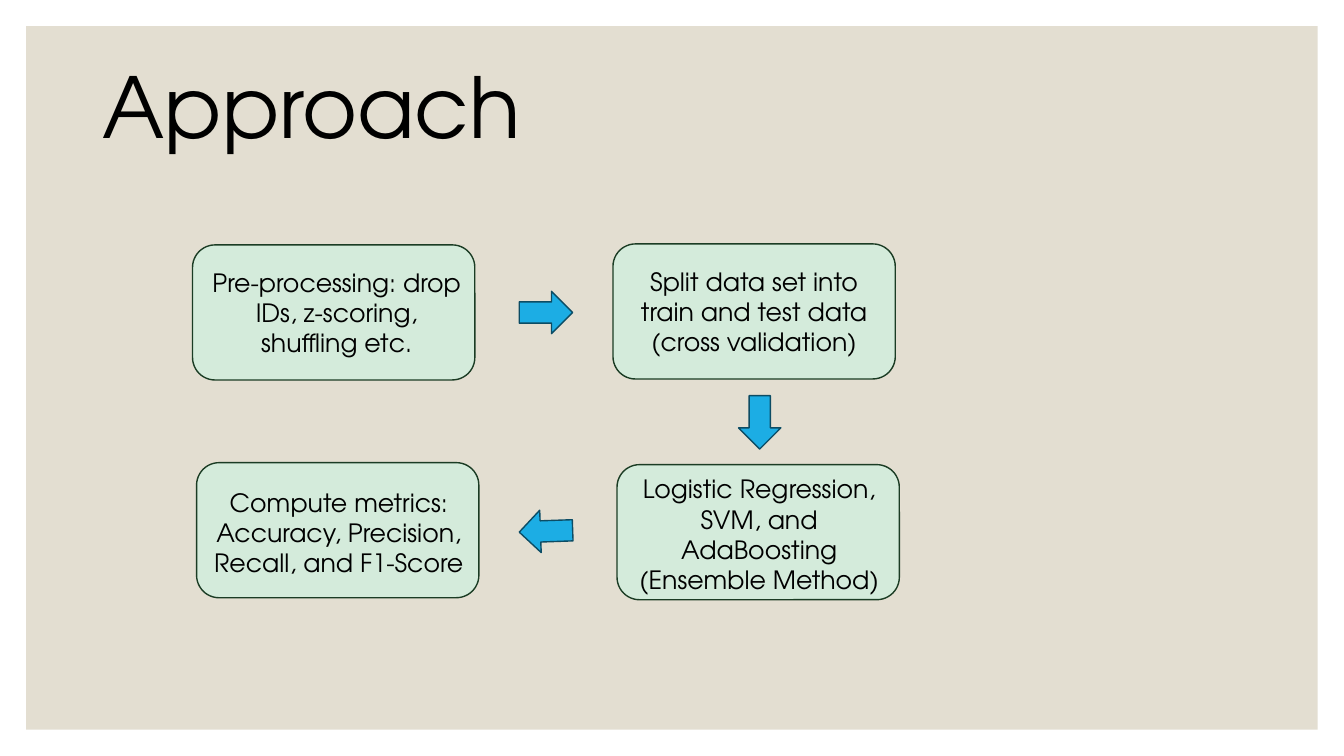
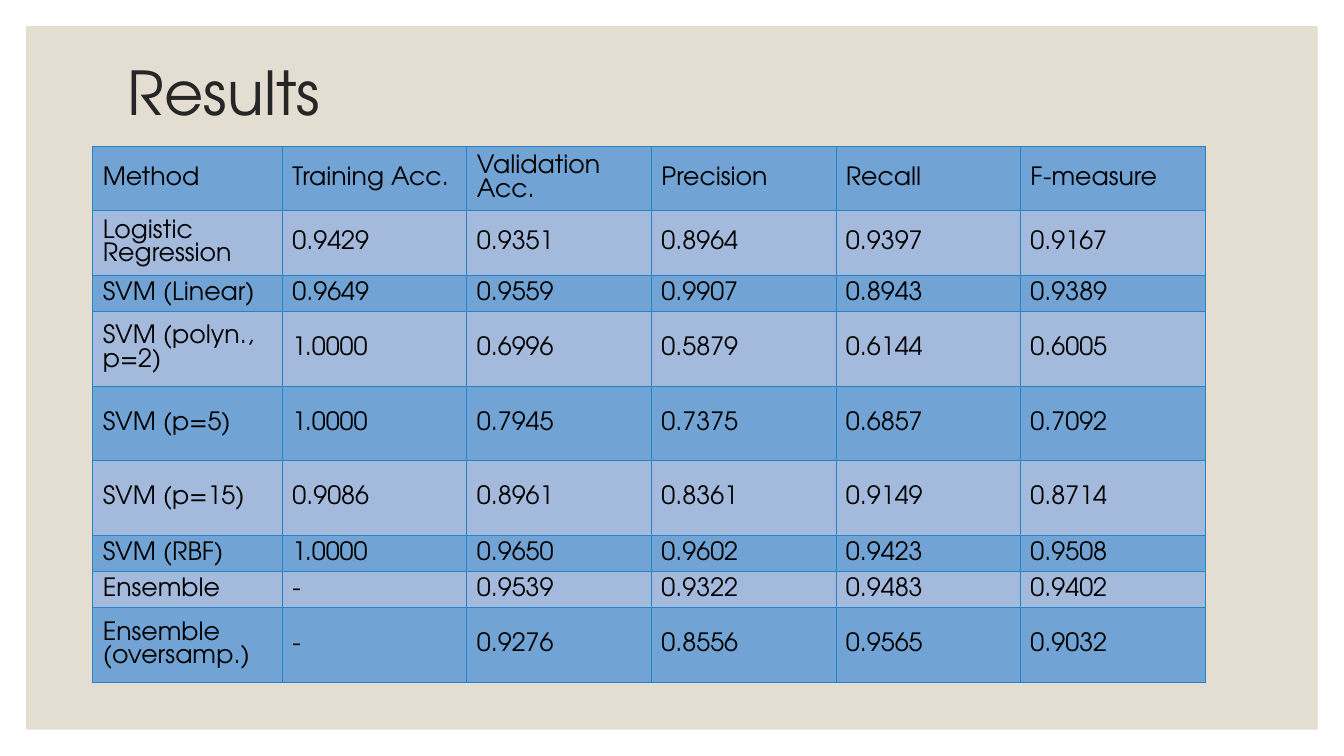
from dataclasses import dataclass

from lxml.etree import SubElement
from pptx import Presentation
from pptx.dml.color import RGBColor
from pptx.enum.shapes import MSO_SHAPE as SHAPE
from pptx.enum.text import MSO_ANCHOR as ANCHOR, PP_ALIGN as ALIGN
from pptx.oxml.ns import qn
from pptx.util import Emu, Pt

PX = 9144  # 100 px to the inch


@dataclass(frozen=True)
class Theme:
    font: str = "TeX Gyre Adventor"
    panel: str = "E3DED1"
    text: str = "000000"
    soft_text: str = "262626"
    step_fill: str = "D4EBDB"
    step_line: str = "1B3C24"
    arrow_fill: str = "1CADE4"
    arrow_line: str = "0C4C64"
    row_dark: str = "71A4D4"
    row_light: str = "A3BADD"
    grid: str = "2683C6"
    big_title: float = 60
    title: float = 43.2
    body: float = 18


T = Theme()


def write(tf, text, size=T.body, color=T.text, align=ALIGN.LEFT, spacing=1.0,
          insets=(10, 5, 10, 5)):
    """Put one formatted paragraph in a text frame; insets run left, top, right, bottom."""
    tf.word_wrap = True
    tf.vertical_anchor = ANCHOR.MIDDLE
    tf.margin_left, tf.margin_top, tf.margin_right, tf.margin_bottom = (
        Emu(v * PX) for v in insets)
    p = tf.paragraphs[0]
    p.alignment = align
    p.line_spacing = spacing
    r = p.add_run()
    r.text = text
    r.font.name = T.font
    r.font.size = Pt(size)
    r.font.color.rgb = RGBColor.from_string(color)


def add_block(s, kind, box, fill, line=None):
    sp = s.shapes.add_shape(kind, *(Emu(v * PX) for v in box))
    sp.shadow.inherit = False
    sp.fill.solid()
    sp.fill.fore_color.rgb = RGBColor.from_string(fill)
    if line:
        sp.line.color.rgb = RGBColor.from_string(line)
        sp.line.width = Pt(1)
    else:
        sp.line.fill.background()
    return sp


prs = Presentation()
prs.slide_width, prs.slide_height = Emu(1333 * PX), Emu(750 * PX)

# Panel and title of each slide
titles = [
    ("Approach", (92, 31, 1000, 159), T.big_title, T.text),
    ("Results", (117, 53, 1100, 85), T.title, T.soft_text),
]
slides = []
for title, box, size, color in titles:
    s = prs.slides.add_slide(prs.slide_layouts[6])
    add_block(s, SHAPE.RECTANGLE, (26, 26, 1281, 698), T.panel)
    tb = s.shapes.add_textbox(*(Emu(v * PX) for v in box))
    write(tb.text_frame, title, size=size, color=color, spacing=0.9)
    slides.append(s)
approach, results = slides

# Approach: four steps, clockwise from the top left
STEP_W, STEP_H = 280, 134
steps = [
    (191, 243, (6, 0, 0, 0), "Pre-processing: drop IDs, z-scoring, shuffling etc."),
    (608, 242, (3, 0, 3, 0), "Split data set into train and test data (cross validation)"),
    (612, 461, (4, 4, 2, 0), "Logistic Regression, SVM, and AdaBoosting (Ensemble Method)"),
    (195, 459, (4, 5, 2, 0), "Compute metrics: Accuracy, Precision, Recall, and F1-Score"),
]
for x, y, insets, text in steps:
    sp = add_block(approach, SHAPE.ROUNDED_RECTANGLE, (x, y, STEP_W, STEP_H),
                   T.step_fill, T.step_line)
    write(sp.text_frame, text, align=ALIGN.CENTER, insets=insets)

for x, y, angle in [(515, 289, 0), (727, 398, 90), (515, 506, 178)]:
    sp = add_block(approach, SHAPE.RIGHT_ARROW, (x, y, 53, 42), T.arrow_fill, T.arrow_line)
    sp.rotation = angle

# Results: one row per method
rows = [
    (64, "Method", "Training Acc.", "Validation Acc.", "Precision", "Recall", "F-measure"),
    (64, "Logistic Regression", "0.9429", "0.9351", "0.8964", "0.9397", "0.9167"),
    (36, "SVM (Linear)", "0.9649", "0.9559", "0.9907", "0.8943", "0.9389"),
    (74, "SVM (polyn., p=2)", "1.0000", "0.6996", "0.5879", "0.6144", "0.6005"),
    (74, "SVM (p=5)", "1.0000", "0.7945", "0.7375", "0.6857", "0.7092"),
    (74, "SVM (p=15)", "0.9086", "0.8961", "0.8361", "0.9149", "0.8714"),
    (36, "SVM (RBF)", "1.0000", "0.9650", "0.9602", "0.9423", "0.9508"),
    (36, "Ensemble", "-", "0.9539", "0.9322", "0.9483", "0.9402"),
    (74, "Ensemble (oversamp.)", "-", "0.9276", "0.8556", "0.9565", "0.9032"),
]
col_widths = [188] + [183] * 5
table = results.shapes.add_table(
    len(rows), len(col_widths), Emu(92 * PX), Emu(145 * PX),
    Emu(sum(col_widths) * PX), Emu(sum(row[0] for row in rows) * PX)).table
for col, width in zip(table.columns, col_widths):
    col.width = Emu(width * PX)

for i, (height, *texts) in enumerate(rows):
    table.rows[i].height = Emu(height * PX)
    for j, text in enumerate(texts):
        cell = table.cell(i, j)
        write(cell.text_frame, text)
        cell.vertical_anchor = ANCHOR.MIDDLE
        cell.margin_left = cell.margin_right = Emu(10 * PX)
        cell.margin_top = cell.margin_bottom = 0
        tc_pr = cell._tc.get_or_add_tcPr()
        for side in ("a:lnL", "a:lnR", "a:lnT", "a:lnB"):
            ln = SubElement(tc_pr, qn(side), w=str(Pt(0.5)))
            SubElement(SubElement(ln, qn("a:solidFill")), qn("a:srgbClr"), val=T.grid)
        cell.fill.solid()
        cell.fill.fore_color.rgb = RGBColor.from_string(T.row_light if i % 2 else T.row_dark)

prs.save("out.pptx")
